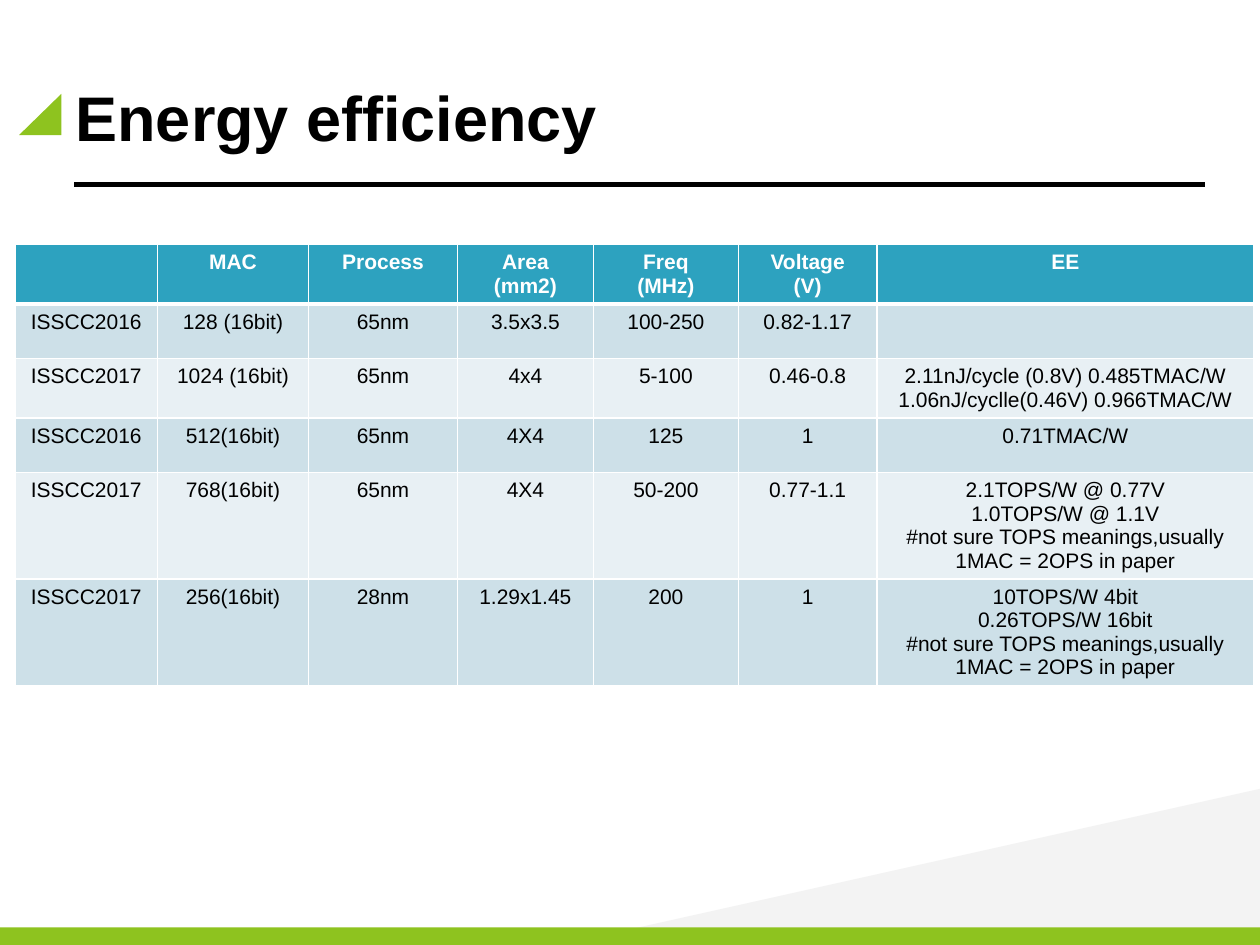
from lxml.etree import SubElement
from pptx import Presentation
from pptx.dml.color import RGBColor
from pptx.enum.shapes import MSO_CONNECTOR, MSO_SHAPE
from pptx.enum.text import MSO_ANCHOR, PP_ALIGN
from pptx.oxml import parse_xml
from pptx.oxml.ns import nsdecls, qn
from pptx.util import Pt

COLORS = {
    "green": "8EC31F", "grey": "F2F2F2", "black": "000000", "white": "FFFFFF",
    "header": "2DA2BF", "odd": "CDE0E8", "even": "E8F0F4",
}
NOTE = "#not sure TOPS meanings,usually 1MAC = 2OPS in paper"
COLUMN_WIDTHS = [81.2, 86.4, 85, 77.8, 82.8, 79.2, 215.3]
ROWS = [
    ["", "MAC", "Process", "Area\n(mm2)", "Freq\n(MHz)", "Voltage\n(V)", "EE"],
    ["ISSCC2016", "128 (16bit)", "65nm", "3.5x3.5", "100-250", "0.82-1.17", ""],
    ["ISSCC2017", "1024 (16bit)", "65nm", "4x4", "5-100", "0.46-0.8",
     "2.11nJ/cycle (0.8V) 0.485TMAC/W\n1.06nJ/cyclle(0.46V) 0.966TMAC/W"],
    ["ISSCC2016", "512(16bit)", "65nm", "4X4", "125", "1", "0.71TMAC/W"],
    ["ISSCC2017", "768(16bit)", "65nm", "4X4", "50-200", "0.77-1.1",
     f"2.1TOPS/W @ 0.77V\n1.0TOPS/W @ 1.1V\n{NOTE}"],
    ["ISSCC2017", "256(16bit)", "28nm", "1.29x1.45", "200", "1",
     f"10TOPS/W 4bit\n0.26TOPS/W 16bit\n{NOTE}"],
]


class SlideBuilder:
    """Hold the style and the current slide, and draw each kind of element."""

    def __init__(self, prs, font="Arial"):
        self.s = prs.slides.add_slide(prs.slide_layouts[5])
        self.font = font

    def color(self, name):
        return RGBColor.from_string(COLORS[name])

    def run(self, p, text, size, color, bold):
        r = p.add_run()
        r.text = text
        r.font.name = self.font
        r.font.size = Pt(size)
        r.font.bold = bold
        r.font.color.rgb = self.color(color)

    def title(self, text, x, y, w, h, indent):
        sp = self.s.shapes.title
        sp.left, sp.top, sp.width, sp.height = Pt(x), Pt(y), Pt(w), Pt(h)
        tf = sp.text_frame
        tf.vertical_anchor = MSO_ANCHOR.MIDDLE
        p = tf.paragraphs[0]
        p.alignment = PP_ALIGN.LEFT
        pPr = p._p.get_or_add_pPr()
        pPr.set("marL", str(Pt(indent)))
        pPr.set("indent", str(-Pt(indent)))
        self.run(p, text, 36, "black", True)

    def shape(self, kind, x, y, w, h, color, rotation=0, opacity=100):
        sp = self.s.shapes.add_shape(kind, Pt(x), Pt(y), Pt(w), Pt(h))
        sp.shadow.inherit = False
        sp.rotation = rotation
        sp.fill.solid()
        sp.fill.fore_color.rgb = self.color(color)
        sp.line.fill.background()
        if opacity < 100:
            clr = sp._element.spPr.find(".//" + qn("a:srgbClr"))
            SubElement(clr, qn("a:alpha")).set("val", str(opacity * 1000))

    def line(self, x1, y1, x2, y2, color, width):
        cxn = self.s.shapes.add_connector(
            MSO_CONNECTOR.STRAIGHT, Pt(x1), Pt(y1), Pt(x2), Pt(y2))
        cxn.line.color.rgb = self.color(color)
        cxn.line.width = Pt(width)
        SubElement(cxn._element.spPr, qn("a:effectLst"))

    def borders(self, cell, top, bottom):
        tcPr = cell._tc.get_or_add_tcPr()
        sides = {"lnL": 1, "lnR": 1, "lnT": top, "lnB": bottom}
        for i, (side, width) in enumerate(sides.items()):
            tcPr.insert(i, parse_xml(
                f'<a:{side} {nsdecls("a")} w="{Pt(width)}"><a:solidFill>'
                f'<a:srgbClr val="{COLORS["white"]}"/></a:solidFill></a:{side}>'))

    def table(self, rows, widths, x, y, row_height):
        table = self.s.shapes.add_table(
            len(rows), len(widths), Pt(x), Pt(y),
            Pt(sum(widths)), Pt(row_height * len(rows))).table
        for column, width in zip(table.columns, widths):
            column.width = Pt(width)
        for i, row in enumerate(rows):
            header = i == 0
            fill = "header" if header else ("even", "odd")[i % 2]
            for j, text in enumerate(row):
                cell = table.cell(i, j)
                cell.fill.solid()
                cell.fill.fore_color.rgb = self.color(fill)
                self.borders(cell, 3 if i == 1 else 1, 3 if header else 1)
                tf = cell.text_frame
                for k, part in enumerate(text.split("\n") if text else []):
                    p = tf.add_paragraph() if k else tf.paragraphs[0]
                    p.alignment = PP_ALIGN.CENTER
                    self.run(p, part, 12, "white" if header else "black", header)


def main():
    prs = Presentation()
    prs.slide_width, prs.slide_height = Pt(720), Pt(540)
    b = SlideBuilder(prs)
    b.shape(MSO_SHAPE.RIGHT_TRIANGLE, 469.4, 291.6, 91.4, 409.7, "grey", 270, 90)
    b.shape(MSO_SHAPE.RIGHT_TRIANGLE, 11.2, 53.3, 23.6, 24.2, "green", 270)
    b.shape(MSO_SHAPE.RECTANGLE, 0, 530, 720, 10, "green")
    b.title("Energy efficiency", 36, 21.6, 648, 90, 27)
    b.line(42.3, 105.6, 688.8, 105.6, "black", 3)
    b.table(ROWS, COLUMN_WIDTHS, 8.8, 139.7, 31)
    prs.save("out.pptx")


if __name__ == "__main__":
    main()
